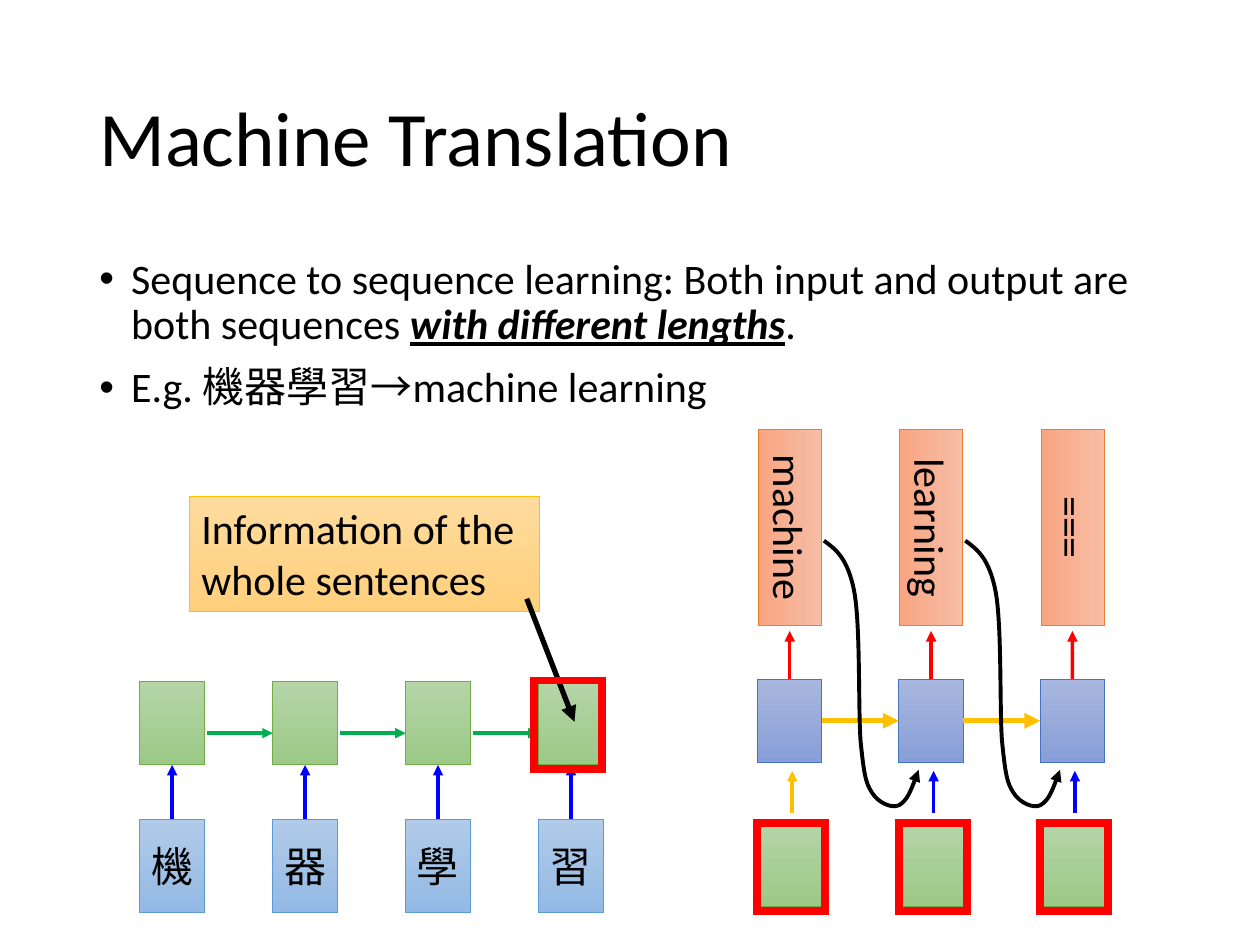
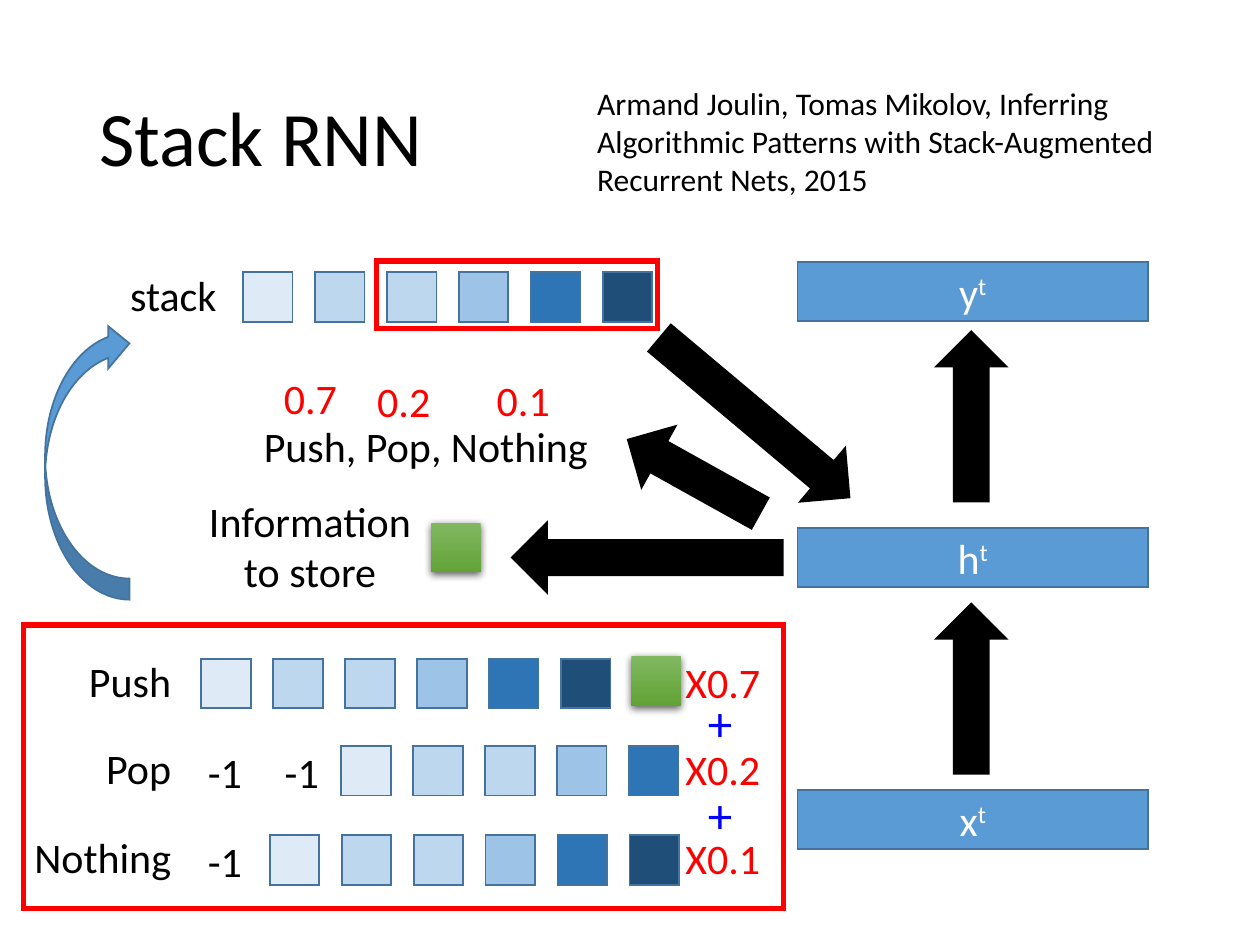
from lxml import etree
from pptx import Presentation
from pptx.dml.color import RGBColor
from pptx.enum.shapes import MSO_CONNECTOR, MSO_SHAPE
from pptx.enum.text import MSO_ANCHOR, MSO_AUTO_SIZE, PP_ALIGN
from pptx.oxml.ns import qn
from pptx.util import Cm, Pt

RECT = MSO_SHAPE.RECTANGLE
UP_ARROW = MSO_SHAPE.UP_ARROW
CURVED_ARROW = MSO_SHAPE.CURVED_RIGHT_ARROW
STRAIGHT = MSO_CONNECTOR.STRAIGHT
LEFT, CENTER, RIGHT = PP_ALIGN.LEFT, PP_ALIGN.CENTER, PP_ALIGN.RIGHT
TOP, MIDDLE = MSO_ANCHOR.TOP, MSO_ANCHOR.MIDDLE
GROW, FIXED = MSO_AUTO_SIZE.SHAPE_TO_FIT_TEXT, MSO_AUTO_SIZE.NONE
TITLE_AND_BODY, TITLE_ONLY = 1, 5
SIDE_TOP, SIDE_LEFT, SIDE_BOTTOM, SIDE_RIGHT = range(4)

FONT = "Calibri"
BLACK, WHITE, RED, BLUE = "000000", "FFFFFF", "FF0000", "0000FF"
AMBER, LEAF, SKY, NAVY_EDGE = "FFC000", "00B050", "5B9BD5", "43739E"
GREEN_CELL = {"fill": ("B5D5A7", "9CC987"), "line": "70AD47", "weight": 0.5}
INPUT_CELL = {"fill": ("B1CBE9", "93B9E4"), "line": SKY, "weight": 0.5}
DECODER_CELL = {"fill": ("A8B7DF", "889ED7"), "line": "4472C4", "weight": 0.5}
WORD_CELL = {"fill": ("F7BDA5", "F8A582"), "line": "ED7D31", "weight": 0.5}
NOTE_CELL = {"fill": ("FFDB9E", "FFD07C"), "line": AMBER, "weight": 0.5}
LAYER_CELL = {"fill": SKY, "line": NAVY_EDGE}
BLOCK_ARROW = {"fill": BLACK, "line": BLACK}
STACK_SHADES = ["DEEBF7", "BDD7EE", "BDD7EE", "9DC3E6", "2E75B6", "1F4E79"]

CELL_W, CELL_H = 1.3, 1.68
ENCODER_X, ENCODER_PITCH, ENCODER_Y = 2.82, 2.68, 13.74
DECODER_X, DECODER_PITCH, DECODER_Y = 15.27, 2.85, 13.69
INPUT_Y, INPUT_H, CONTEXT_Y = 16.51, 1.88, 16.59
WORD_LENGTH, WORD_Y = 3.94, 10.0
TILE, TILE_PITCH = 1.0, 1.45
FEEDBACK_CURVE = [
    (0.25, 0.18), (0.48, 0.36), (0.61, 1.02),
    (0.74, 1.7), (0.69, 3.38), (0.74, 4.04),
    (0.81, 4.72), (0.84, 4.88), (0.97, 5.08),
    (1.09, 5.28), (1.37, 5.41), (1.52, 5.33),
    (1.68, 5.23), (1.8, 4.93), (1.91, 4.62),
]


def rgb(value):
    return RGBColor.from_string(value)


def assign(target, values):
    for key, value in values.items():
        setattr(target, key, value)


def add_node(parent, tag, **attributes):
    return etree.SubElement(parent, qn(tag), **attributes)


def place(item, left, top, width, height):
    assign(item, {"left": Cm(left), "top": Cm(top),
                  "width": Cm(width), "height": Cm(height)})


def write_run(paragraph, text, size=24, color=BLACK, **traits):
    run = paragraph.add_run()
    run.text = text
    assign(run.font, {"name": FONT, "size": Pt(size), **traits})
    run.font.color.rgb = rgb(color)
    return run


def write(item, text, align=CENTER, anchor=TOP, fit=FIXED, margin=0.25, **style):
    frame = item.text_frame
    assign(frame, {"word_wrap": True, "auto_size": fit, "vertical_anchor": anchor,
                   "margin_left": Cm(margin), "margin_right": Cm(margin)})
    paragraph = frame.paragraphs[0]
    paragraph.alignment = align
    write_run(paragraph, text, **style)
    return paragraph


def add_label(slide, text, left, top, width, height=1.27, **style):
    label = slide.shapes.add_textbox(Cm(left), Cm(top), Cm(width), Cm(height))
    write(label, text, fit=GROW, **style)


def add_block(slide, left, top, width, height, fill=None, line=None, weight=1,
              rotation=0, outline=RECT):
    block = slide.shapes.add_shape(outline, Cm(left), Cm(top), Cm(width), Cm(height))
    block.shadow.inherit = False
    block.rotation = rotation
    if fill is None:
        block.fill.background()
    elif isinstance(fill, tuple):
        block.fill.gradient()
        block.fill.gradient_angle = 270
        for stop, shade in zip(block.fill.gradient_stops, fill):
            stop.color.rgb = rgb(shade)
        for stop, position in zip(block.fill.gradient_stops, (0, 1)):
            stop.position = position
    else:
        block.fill.solid()
        block.fill.fore_color.rgb = rgb(fill)
    if line is None:
        block.line.fill.background()
    else:
        block.line.color.rgb = rgb(line)
        block.line.width = Pt(weight)
        add_node(block._element.spPr.find(qn("a:ln")), "a:miter", lim="800000")
    return block


def add_highlight(slide, left, top, width=1.37, height=1.78, weight=4.5):
    add_block(slide, left, top, width, height, line=RED, weight=weight)


def point_tail(item, color, weight):
    item.line.color.rgb = rgb(color)
    item.line.width = Pt(weight)
    add_node(item._element.spPr.find(qn("a:ln")), "a:tailEnd", type="triangle")


def add_arrow(slide, start, end, color, weight=2):
    arrow = slide.shapes.add_connector(STRAIGHT, *(Cm(n) for n in (*start, *end)))
    point_tail(arrow, color, weight)
    add_node(arrow._element.spPr, "a:effectLst")
    return arrow


def join_cells(slide, source, source_side, target, target_side, color, weight=2):
    arrow = add_arrow(slide, (0, 0), (0, 0), color, weight)
    arrow.begin_connect(source, source_side)
    arrow.end_connect(target, target_side)


def add_feedback(slide, left, top):
    builder = slide.shapes.build_freeform(Cm(left), Cm(top))
    builder.add_line_segments(
        [(Cm(left + x), Cm(top + y)) for x, y in FEEDBACK_CURVE], close=False)
    feedback = builder.convert_to_shape()
    feedback.shadow.inherit = False
    feedback.fill.background()
    point_tail(feedback, BLACK, 2.25)
    segments = list(feedback._element.iter(qn("a:lnTo")))
    track = segments[0].getparent()
    for first in range(0, len(segments), 3):
        bend = add_node(track, "a:cubicBezTo")
        for segment in segments[first:first + 3]:
            bend.append(segment[0])
            track.remove(segment)


def add_titled_slide(deck, layout, text):
    slide = deck.slides.add_slide(deck.slide_layouts[layout])
    title = slide.shapes.title
    place(title, 1.75, 1.02, 21.89, 3.68)
    write(title, text, align=LEFT, anchor=MIDDLE, size=44).line_spacing = 0.9
    return slide


def add_bullets(slide, items):
    body = slide.placeholders[1]
    place(body, 1.75, 5.08, 21.89, 12.09)
    body.text_frame.auto_size = FIXED
    for index, pieces in enumerate(items):
        paragraph = (body.text_frame.add_paragraph() if index
                     else body.text_frame.paragraphs[0])
        properties = paragraph._p.get_or_add_pPr()
        properties.set("marL", str(Cm(0.64)))
        properties.set("indent", str(Cm(-0.64)))
        assign(paragraph, {"line_spacing": 0.9,
                           "space_before": Pt(10 if index else 0)})
        for text, traits in pieces:
            write_run(paragraph, text, **traits)


def draw_encoder(slide):
    cells = []
    for index, character in enumerate("機器學習"):
        left = ENCODER_X + index * ENCODER_PITCH
        cell = add_block(slide, left, ENCODER_Y, CELL_W, CELL_H, **GREEN_CELL)
        source = add_block(slide, left, INPUT_Y, CELL_W, INPUT_H, **INPUT_CELL)
        write(source, character, anchor=MIDDLE, margin=0)
        join_cells(slide, source, SIDE_TOP, cell, SIDE_BOTTOM, BLUE)
        if cells:
            add_arrow(slide, (left - ENCODER_PITCH + CELL_W + 0.05, 14.78),
                      (left, 14.78), LEAF)
        cells.append(cell)
    note = add_block(slide, 3.81, 10.01, 7.06, 2.31, **NOTE_CELL)
    write(note, "Information of the whole sentences", align=LEFT)
    add_arrow(slide, (10.62, 12.07), (11.58, 14.55), BLACK, 3)
    add_highlight(slide, 10.77, 13.72)


def draw_decoder(slide):
    previous = None
    for index, word in enumerate(["machine", "learning", "==="]):
        left = DECODER_X + index * DECODER_PITCH
        middle = left + CELL_W / 2
        output = add_block(slide, middle - WORD_LENGTH / 2, WORD_Y, WORD_LENGTH,
                           1.27, rotation=90, **WORD_CELL)
        write(output, word)
        cell = add_block(slide, left, DECODER_Y, CELL_W, CELL_H, **DECODER_CELL)
        upward = add_arrow(slide, (middle, DECODER_Y), (middle, 12.72), RED)
        upward.begin_connect(cell, SIDE_TOP)
        if previous:
            join_cells(slide, previous, SIDE_RIGHT, cell, SIDE_LEFT, AMBER, 3)
        add_block(slide, left, CONTEXT_Y, CELL_W, CELL_H, **GREEN_CELL)
        add_highlight(slide, left, CONTEXT_Y)
        add_arrow(slide, (middle + 0.05, 16.4), (middle + 0.05, 15.54),
                  BLUE if previous else AMBER)
        previous = cell
    for index in range(2):
        add_feedback(slide, 16.61 + index * DECODER_PITCH, 10.9)


def draw_translation(deck):
    slide = add_titled_slide(deck, TITLE_AND_BODY, "Machine Translation")
    add_bullets(slide, [
        [("Sequence to sequence learning: Both input and output are both sequences ", {}),
         ("with different lengths", {"bold": True, "italic": True, "underline": True}),
         (".", {})],
        [("E.g. 機器學習→machine learning", {})],
    ])
    draw_encoder(slide)
    draw_decoder(slide)


def add_stack(slide, left, top, shades=STACK_SHADES):
    for index, shade in enumerate(shades):
        add_block(slide, left + index * TILE_PITCH, top, TILE, TILE,
                  fill=shade, line=NAVY_EDGE)


def add_new_item(slide, left, top):
    item = add_block(slide, left, top, TILE, TILE, fill=("81B861", "62A336"))
    effects = item._element.spPr.find(qn("a:effectLst"))
    shadow = add_node(effects, "a:outerShdw", blurRad=str(Pt(4.5)),
                      dist=str(Pt(1.5)), dir="5400000", algn="ctr", rotWithShape="0")
    add_node(add_node(shadow, "a:srgbClr", val=BLACK), "a:alpha", val="63000")


def draw_network(slide):
    for letter, top in [("x", 15.93), ("h", 10.64), ("y", 5.28)]:
        layer = add_block(slide, 16.08, top, 7.06, 1.19, **LAYER_CELL)
        caption = write(layer, letter, anchor=MIDDLE, color=WHITE)
        step = write_run(caption, "t", color=WHITE)
        step.font._element.set("baseline", "30000")
    for left, top, length, rotation in [
        (18.87, 12.17, 3.43, 0), (18.87, 6.68, 3.43, 0), (14.5, 5.92, 5.0, 130),
        (13.28, 8.08, 3.05, 299.1), (12.34, 8.51, 5.46, 270),
    ]:
        add_block(slide, left, top, 1.42, length, rotation=rotation,
                  outline=UP_ARROW, **BLOCK_ARROW)


def draw_actions(slide):
    add_label(slide, "stack", 1.83, 5.31, 3.33)
    add_stack(slide, 4.9, 5.49)
    add_highlight(slide, 7.59, 5.26, 5.66, 1.37, 3)
    add_label(slide, "Push, Pop, Nothing", 4.75, 8.36, 7.67)
    for chance, left, top in [("0.7", 5.18, 7.39), ("0.2", 7.06, 7.44),
                              ("0.1", 9.47, 7.42)]:
        add_label(slide, chance, left, top, 2.16, color=RED)
    add_label(slide, "Information to store", 3.86, 9.86, 4.78, 2.31)
    add_new_item(slide, 8.69, 10.54)


def draw_weighted_sum(slide):
    for action, top, left, shades, gaps, weight in [
        ("Push", 13.28, 4.06, STACK_SHADES, [], "X0.7"),
        ("Pop", 15.04, 6.88, STACK_SHADES[:5], [3.94, 5.49], "X0.2"),
        ("Nothing", 16.84, 5.44, STACK_SHADES, [3.94], "X0.1"),
    ]:
        add_label(slide, action, 0.3, top - 0.2, 3.4, align=RIGHT)
        add_stack(slide, left, top, shades)
        for gap in gaps:
            add_label(slide, "-1", gap, top - 0.12, 1.19, align=LEFT)
        add_label(slide, weight, 13.49, top - 0.18, 2.16, color=RED)
    add_new_item(slide, 12.73, 13.23)
    for top in (13.84, 15.7):
        add_label(slide, "+", 13.97, top, 1.09, 1.45, size=28, color=BLUE)
    add_highlight(slide, 0.48, 12.6, 15.32, 5.72, 3)
    update = add_block(slide, 0.91, 6.5, 1.7, 5.59, outline=CURVED_ARROW, **LAYER_CELL)
    update._element.spPr.find(qn("a:xfrm")).set("flipV", "1")


def draw_stack_rnn(deck):
    slide = add_titled_slide(deck, TITLE_ONLY, "Stack RNN")
    add_label(slide, "Armand Joulin, Tomas Mikolov, Inferring Algorithmic Patterns "
              "with Stack-Augmented Recurrent Nets, 2015",
              11.79, 1.57, 12.7, 2.57, align=LEFT, size=18)
    draw_network(slide)
    draw_actions(slide)
    draw_weighted_sum(slide)


def main():
    deck = Presentation()
    assign(deck, {"slide_width": Cm(25.4), "slide_height": Cm(19.05)})
    draw_translation(deck)
    draw_stack_rnn(deck)
    deck.save("out.pptx")


if __name__ == "__main__":
    main()
